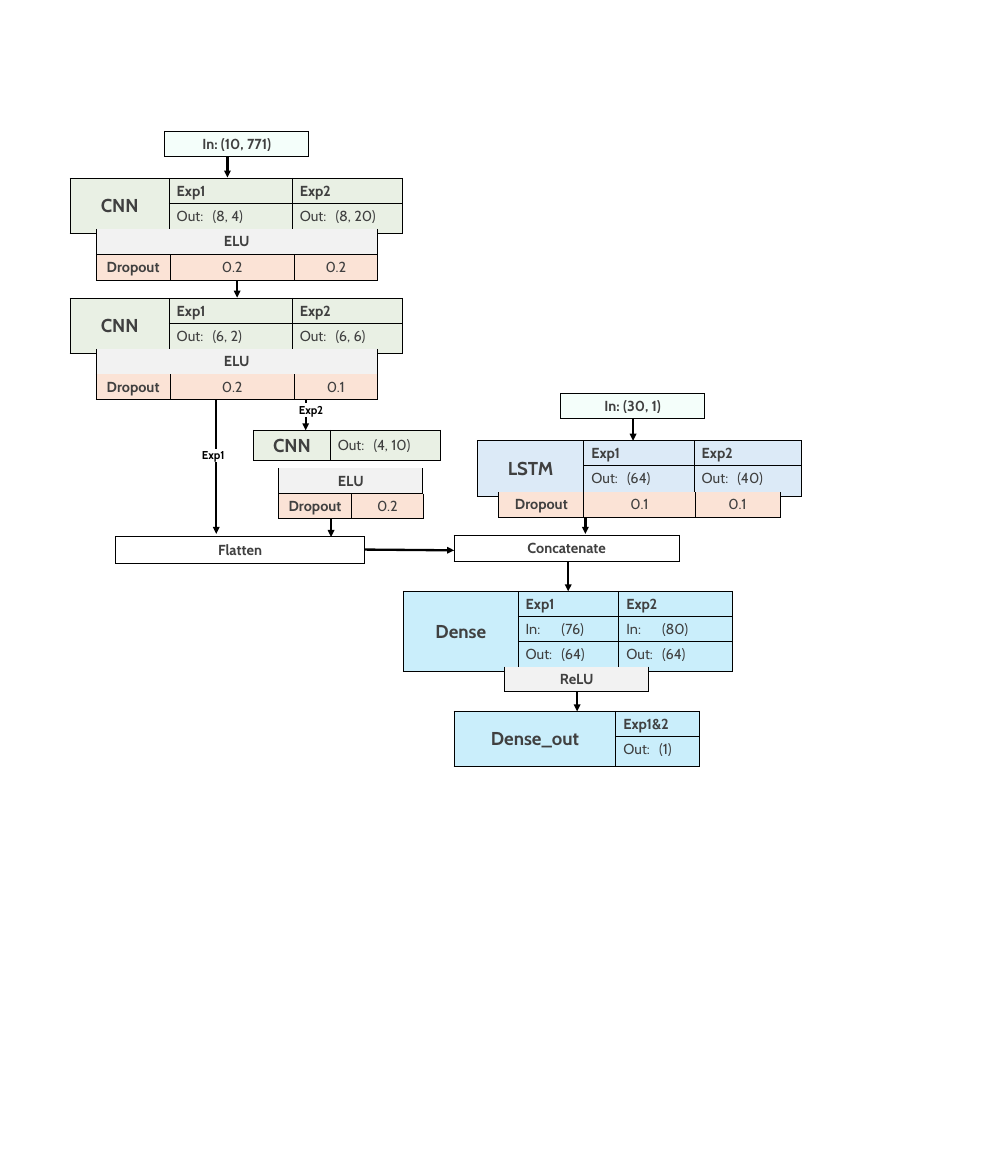
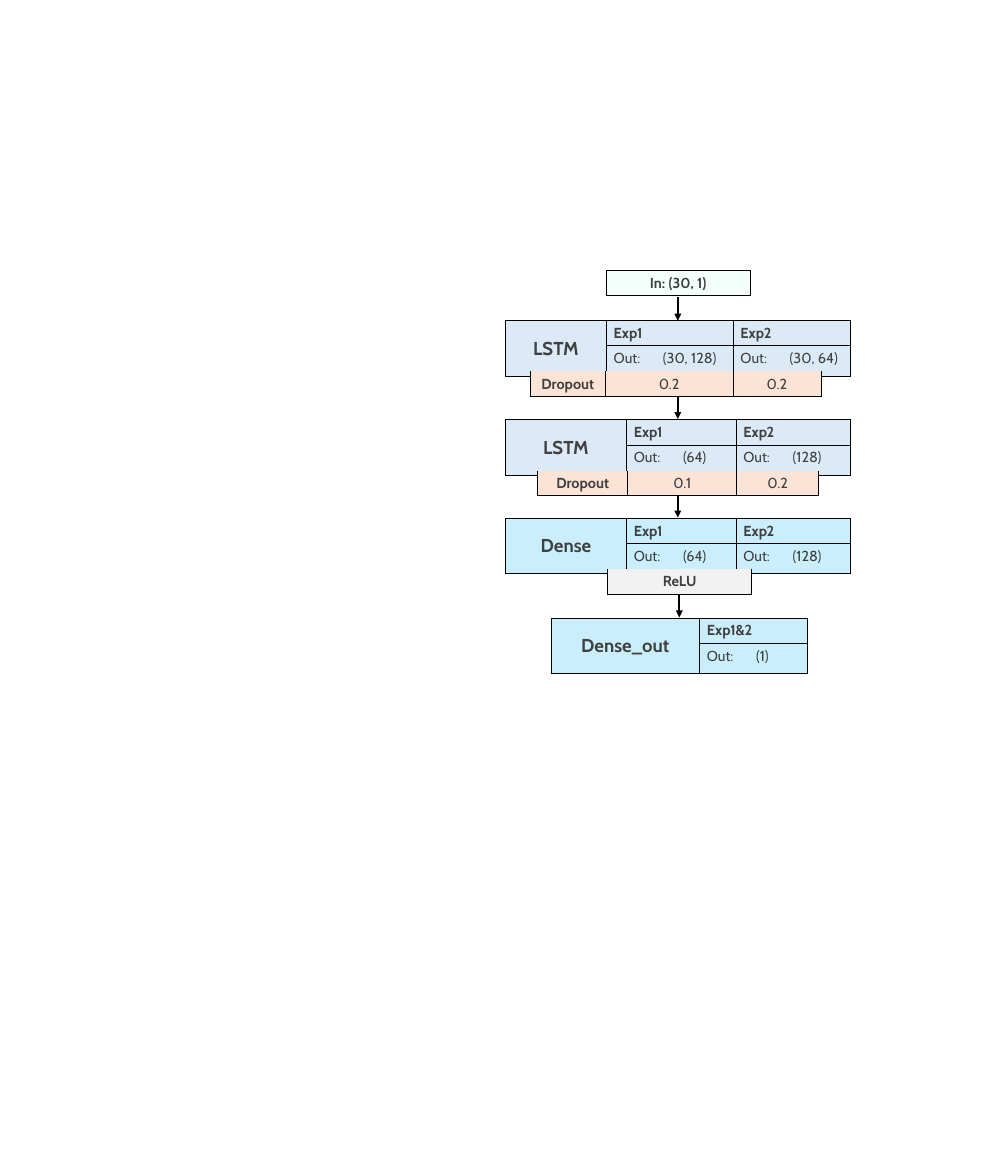
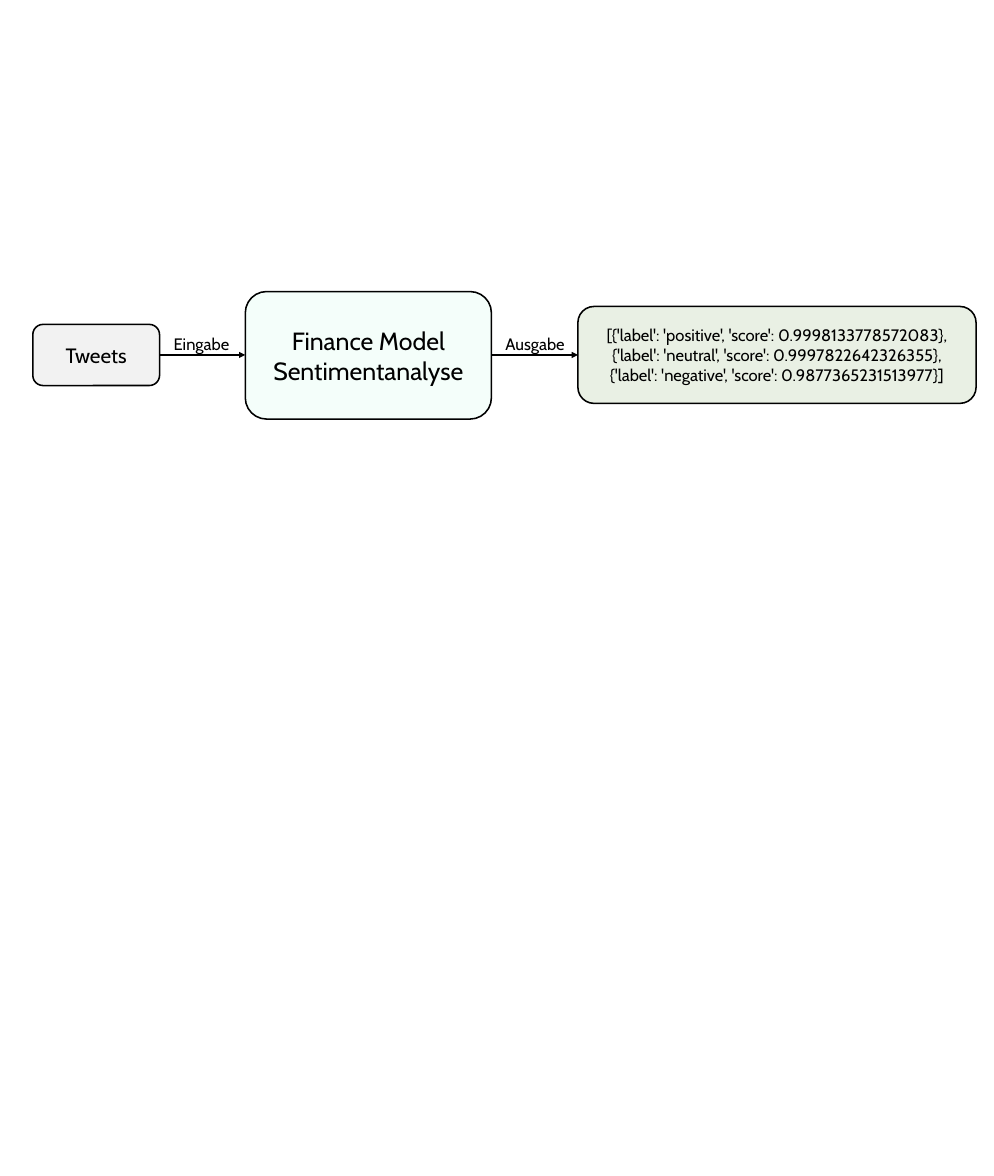
import lxml.etree
import pptx
import pptx.dml.color
import pptx.enum.shapes
import pptx.enum.text
import pptx.oxml
import pptx.oxml.ns
import pptx.util

PX = 9144
FONT = "Cabin"
RGB = pptx.dml.color.RGBColor
BLACK = RGB(0x00, 0x00, 0x00)
WHITE = RGB(0xFF, 0xFF, 0xFF)
CHARCOAL = RGB(0x40, 0x40, 0x40)
GREY = RGB(0xF2, 0xF2, 0xF2)
GREEN = RGB(0xE9, 0xF0, 0xE4)
BLUE = RGB(0xDC, 0xEA, 0xF7)
CYAN = RGB(0xCA, 0xEE, 0xFB)
PEACH = RGB(0xFB, 0xE3, 0xD6)
MINT = RGB(0xF4, 0xFE, 0xFA)

# First word of a table: fill, size of its name, row height
STYLES = {
    "In:": (MINT, 14, 33),
    "CNN": (GREEN, 18, 33),
    "LSTM": (BLUE, 18, 33),
    "Dense": (CYAN, 18, 33),
    "Dense_out": (CYAN, 18, 33),
    "ELU": (GREY, 14, 33),
    "ReLU": (GREY, 14, 33),
    "Dropout": (PEACH, 14, 33),
    "Flatten": (WHITE, 14, 35),
    "Concatenate": (WHITE, 14, 35),
}
OPEN_TOPPED = ("ELU", "ReLU", "Dropout")
ALIGN = pptx.enum.text.PP_ALIGN
MIDDLE = pptx.enum.text.MSO_ANCHOR.MIDDLE
DRAWING = pptx.oxml.ns.nsdecls("a")


def format_paragraph(para, size, color, bold=False, align=ALIGN.CENTER):
    para.alignment = align
    for span in para.runs:
        span.font.name = FONT
        span.font.size = pptx.util.Pt(size)
        span.font.bold = bold
        span.font.color.rgb = color


def add_arrow(page, x1, y1, x2, y2, weight):
    arrow = page.shapes.add_connector(
        pptx.enum.shapes.MSO_CONNECTOR.STRAIGHT, x1 * PX, y1 * PX, x2 * PX, y2 * PX)
    arrow.line.color.rgb = BLACK
    arrow.line.width = pptx.util.Pt(weight)
    line = arrow.line._get_or_add_ln()
    line.append(pptx.oxml.parse_xml(f'<a:tailEnd {DRAWING} type="triangle"/>'))
    lxml.etree.SubElement(arrow._element.spPr, pptx.oxml.ns.qn("a:effectLst"))


deck = pptx.Presentation()
deck.slide_width = 1333 * PX
deck.slide_height = 1577 * PX
combined_page, lstm_page, sentiment_page = [
    deck.slides.add_slide(deck.slide_layouts[6]) for _ in range(3)]

EXPERIMENTS = ["Exp1", "Exp2"]

# Tables: left, top, column widths, rows
combined_tables = [
    (221, 176, [193], [["In: (10, 771)"]]),
    (94, 239, [133, 165, 148], [["CNN", *EXPERIMENTS], ["Out:\t(8, 4)", "Out:\t(8, 20)"]]),
    (129, 307, [377], [["ELU"]]),
    (129, 342, [99, 167, 111], [["Dropout", "0.2", "0.2"]]),
    (94, 400, [133, 165, 148], [["CNN", *EXPERIMENTS], ["Out:\t(6, 2)", "Out:\t(6, 6)"]]),
    (129, 468, [377], [["ELU"]]),
    (129, 502, [99, 167, 111], [["Dropout", "0.2", "0.1"]]),
    (340, 577, [103, 148], [["CNN", "Out:\t(4, 10)"]]),
    (374, 628, [193], [["ELU"]]),
    (374, 662, [97, 97], [["Dropout", "0.2"]]),
    (155, 720, [334], [["Flatten"]]),
    (752, 528, [193], [["In: (30, 1)"]]),
    (640, 591, [143, 148, 144], [["LSTM", *EXPERIMENTS], ["Out:\t(64)", "Out:\t(40)"]]),
    (669, 660, [114, 149, 114], [["Dropout", "0.1", "0.1"]]),
    (609, 718, [302], [["Concatenate"]]),
    (541, 793, [154, 135, 152],
     [["Dense", *EXPERIMENTS], ["In:\t(76)", "In:\t(80)"], ["Out:\t(64)", "Out:\t(64)"]]),
    (677, 894, [193], [["ReLU"]]),
    (609, 954, [217, 112], [["Dense_out", "Exp1&2"], ["Out:\t(1)"]]),
]
combined_arrows = [
    (305, 209, 305, 238), (318, 375, 318, 399), (290, 532, 290, 716),
    (410, 535, 410, 577), (444, 695, 444, 720), (489, 737, 609, 738),
    (849, 561, 849, 591), (785, 693, 785, 716), (762, 754, 762, 793),
    (774, 928, 774, 954),
]
lstm_tables = [
    (813, 363, [193], [["In: (30, 1)"]]),
    (678, 430, [135, 170, 158], [["LSTM", *EXPERIMENTS], ["Out:\t(30, 128)", "Out:\t(30, 64)"]]),
    (711, 498, [101, 171, 118], [["Dropout", "0.2", "0.2"]]),
    (678, 563, [162, 147, 153], [["LSTM", *EXPERIMENTS], ["Out:\t(64)", "Out:\t(128)"]]),
    (721, 631, [121, 146, 110], [["Dropout", "0.1", "0.2"]]),
    (678, 695, [162, 147, 153], [["Dense", *EXPERIMENTS], ["Out:\t(64)", "Out:\t(128)"]]),
    (815, 763, [193], [["ReLU"]]),
    (739, 829, [199, 145], [["Dense_out", "Exp1&2"], ["Out:\t(1)"]]),
]
lstm_arrows = [
    (909, 398, 909, 430), (909, 531, 909, 562),
    (909, 664, 909, 694), (911, 798, 911, 828),
]

for page, arrows, tables, value_tab in (
        (combined_page, combined_arrows, combined_tables, 48),
        (lstm_page, lstm_arrows, lstm_tables, 66)):
    for ends in arrows:
        add_arrow(page, *ends, 2.25)
    for left, top, widths, rows in tables:
        name = rows[0][0].split()[0]
        fill, name_size, row_height = STYLES[name]
        table = page.shapes.add_table(
            len(rows), len(widths), left * PX, top * PX,
            sum(widths) * PX, len(rows) * row_height * PX).table
        table.first_row = False
        table.horz_banding = False
        for column, width in zip(table.columns, widths):
            column.width = width * PX

        for cell in table.iter_cells():
            cell.fill.solid()
            cell.fill.fore_color.rgb = fill
            properties = cell._tc.get_or_add_tcPr()
            for index, side in enumerate("LRTB"):
                paint = f'<a:solidFill><a:srgbClr val="{BLACK}"/></a:solidFill>'
                if side == "T" and name in OPEN_TOPPED:
                    paint = "<a:noFill/>"
                properties.insert(index, pptx.oxml.parse_xml(
                    f'<a:ln{side} {DRAWING} w="12700">{paint}</a:ln{side}>'))

        if len(rows) > 1:
            table.cell(0, 0).merge(table.cell(len(rows) - 1, 0))
        for row_index, texts in enumerate(rows):
            first_column = len(widths) - len(texts)
            for column_index, text in enumerate(texts, first_column):
                cell = table.cell(row_index, column_index)
                cell.text_frame.text = text
                para = cell.text_frame.paragraphs[0]
                is_name = column_index == 0
                is_heading = text.startswith("Exp")
                has_value = "\t" in text
                if is_name or len(rows) == 1:
                    cell.vertical_anchor = MIDDLE
                format_paragraph(
                    para, name_size if is_name else 14, CHARCOAL, is_name or is_heading,
                    ALIGN.LEFT if is_heading or has_value else ALIGN.CENTER)
                if has_value:
                    para._p.get_or_add_pPr().append(pptx.oxml.parse_xml(
                        f'<a:tabLst {DRAWING}><a:tab pos="{value_tab * PX}" algn="l"/></a:tabLst>'))

sentiment_boxes = [
    (44, 435, 170, 82, GREY, 20, "Tweets"),
    (329, 391, 330, 171, MINT, 24, "Finance Model\nSentimentanalyse"),
    (775, 411, 534, 130, GREEN, 16,
     "[{'label': 'positive', 'score': 0.9998133778572083}, "
     "{'label': 'neutral', 'score': 0.9997822642326355}, "
     "{'label': 'negative', 'score': 0.9877365231513977}]"),
]
for left, top, width, height, fill, size, text in sentiment_boxes:
    box = sentiment_page.shapes.add_shape(
        pptx.enum.shapes.MSO_SHAPE.ROUNDED_RECTANGLE,
        left * PX, top * PX, width * PX, height * PX)
    box.shadow.inherit = False
    box.fill.solid()
    box.fill.fore_color.rgb = fill
    box.line.color.rgb = BLACK
    box.line.width = pptx.util.Pt(1.5)
    box.text_frame.word_wrap = True
    box.text_frame.vertical_anchor = MIDDLE
    box.text_frame.text = text
    for para in box.text_frame.paragraphs:
        format_paragraph(para, size, BLACK)
for start, end in ((214, 329), (659, 775)):
    add_arrow(sentiment_page, start, 476, end, 476, 1.5)

arrow_labels = [
    (combined_page, 391, 535, 54, 29, 11, "Exp2"),
    (combined_page, 261, 596, 54, 29, 11, "Exp1"),
    (sentiment_page, 223, 443, 98, 37, 16, "Eingabe"),
    (sentiment_page, 668, 443, 104, 37, 16, "Ausgabe"),
]
for page, left, top, width, height, size, text in arrow_labels:
    label = page.shapes.add_textbox(left * PX, top * PX, width * PX, height * PX)
    label.text_frame.word_wrap = False
    label.text_frame.text = text
    para = label.text_frame.paragraphs[0]
    on_arrow = page is combined_page
    format_paragraph(para, size, BLACK, on_arrow, ALIGN.LEFT)
    if on_arrow:
        color_fill = para.runs[0]._r.rPr.find(pptx.oxml.ns.qn("a:solidFill"))
        color_fill.addnext(pptx.oxml.parse_xml(
            f'<a:highlight {DRAWING}><a:srgbClr val="{WHITE}"/></a:highlight>'))

deck.save("out.pptx")
